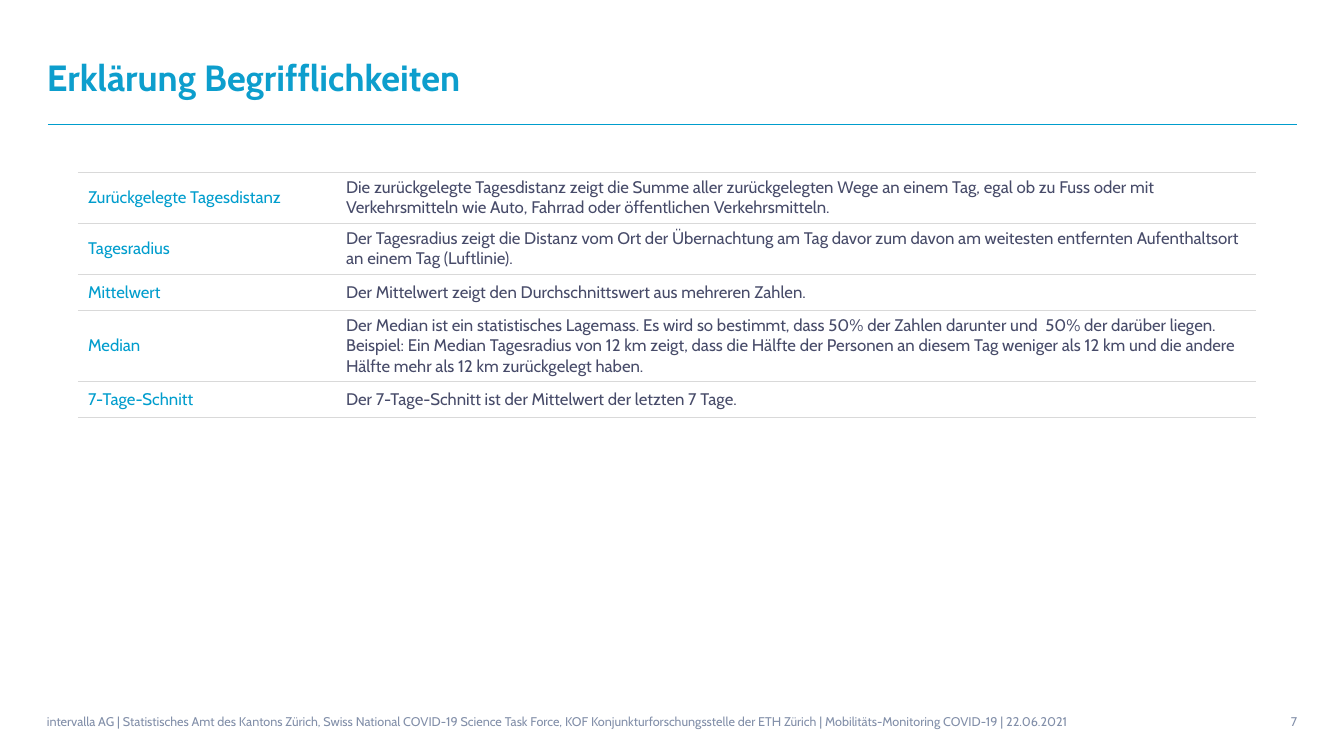
"""Builds a slide that explains the terms used in a mobility report."""
from lxml import etree
from pptx import Presentation
from pptx.dml.color import RGBColor
from pptx.enum.shapes import MSO_CONNECTOR
from pptx.enum.text import MSO_ANCHOR, PP_ALIGN
from pptx.oxml.ns import qn
from pptx.util import Pt

STRAIGHT = MSO_CONNECTOR.STRAIGHT
MIDDLE = MSO_ANCHOR.MIDDLE
LEFT, RIGHT = PP_ALIGN.LEFT, PP_ALIGN.RIGHT
EMU_PER_PX = 914400 / 100.8
FONT = "Cabin"
COLORS = {
    "title": "0D9ECD",
    "accent": "009DCD",
    "body": "474B69",
    "footer": "828FA9",
    "border": "D9D9D9",
}
TERMS = [
    (51, "Zurückgelegte Tagesdistanz",
     "Die zurückgelegte Tagesdistanz zeigt die Summe aller zurückgelegten Wege an einem Tag, "
     "egal ob zu Fuss oder mit Verkehrsmitteln wie Auto, Fahrrad oder öffentlichen "
     "Verkehrsmitteln."),
    (51, "Tagesradius",
     "Der Tagesradius zeigt die Distanz vom Ort der Übernachtung am Tag davor zum davon am "
     "weitesten entfernten Aufenthaltsort an einem Tag (Luftlinie)."),
    (36, "Mittelwert",
     "Der Mittelwert zeigt den Durchschnittswert aus mehreren Zahlen."),
    (71, "Median",
     "Der Median ist ein statistisches Lagemass. Es wird so bestimmt, dass 50% der Zahlen "
     "darunter und  50% der darüber liegen. Beispiel: Ein Median Tagesradius von 12 km zeigt, "
     "dass die Hälfte der Personen an diesem Tag weniger als 12 km und die andere Hälfte mehr "
     "als 12 km zurückgelegt haben."),
    (36, "7-Tage-Schnitt",
     "Der 7-Tage-Schnitt ist der Mittelwert der letzten 7 Tage."),
]
FOOTER = (
    "intervalla AG | Statistisches Amt des Kantons Zürich, Swiss National COVID-19 Science "
    "Task Force, KOF Konjunkturforschungsstelle der ETH Zürich | Mobilitäts-Monitoring "
    "COVID-19 | 22.06.2021"
)


def px(length):
    return round(length * EMU_PER_PX)


class SlideBuilder:
    def __init__(self, presentation):
        self.slide = presentation.slides.add_slide(presentation.slide_layouts[6])

    def set_text(self, text_frame, text, size, color, bold=False, align=LEFT):
        text_frame.word_wrap = True
        paragraph = text_frame.paragraphs[0]
        paragraph.text = text
        paragraph.alignment = align
        font = paragraph.font
        font.name, font.size, font.bold = FONT, Pt(size), bold
        font.color.rgb = RGBColor.from_string(COLORS[color])

    def text(self, left, top, width, height, text, size, color, bold=False, align=LEFT):
        box = self.slide.shapes.add_textbox(px(left), px(top), px(width), px(height))
        box.text_frame.vertical_anchor = MIDDLE
        self.set_text(box.text_frame, text, size, color, bold, align)

    def rule(self, left, right, y, color, weight):
        line = self.slide.shapes.add_connector(STRAIGHT, px(left), px(y), px(right), px(y))
        line.line.color.rgb = RGBColor.from_string(COLORS[color])
        line.line.width = Pt(weight)
        etree.SubElement(line._element.spPr, qn("a:effectLst"))

    def borders(self, cell, color, weight):
        properties = cell._tc.get_or_add_tcPr()
        for index, side in enumerate(("lnL", "lnR", "lnT", "lnB")):
            border = etree.Element(qn(f"a:{side}"), w=str(Pt(weight)))
            if side in ("lnT", "lnB"):
                fill = etree.SubElement(border, qn("a:solidFill"))
                etree.SubElement(fill, qn("a:srgbClr"), val=COLORS[color])
            else:
                etree.SubElement(border, qn("a:noFill"))
            properties.insert(index, border)

    def table(self, left, top, widths, terms):
        height = sum(row_height for row_height, *_ in terms)
        frame = self.slide.shapes.add_table(
            len(terms), len(widths), px(left), px(top), px(sum(widths)), px(height))
        table = frame.table
        table.first_row = table.horz_banding = False
        for column, width in zip(table.columns, widths):
            column.width = px(width)
        for row, (row_height, *texts) in zip(table.rows, terms):
            row.height = px(row_height)
            for cell, text, color in zip(row.cells, texts, ("accent", "body")):
                cell.vertical_anchor = MIDDLE
                cell.fill.background()
                self.set_text(cell.text_frame, text, 12, color)
                self.borders(cell, "border", 0.75)


def main():
    presentation = Presentation()
    presentation.slide_width, presentation.slide_height = px(1344), px(756)
    builder = SlideBuilder(presentation)
    builder.rule(48, 1297, 124, "accent", 0.25)
    builder.text(37, 29, 1058, 95, "Erklärung Begrifflichkeiten", 26, "title", bold=True)
    builder.text(37, 696, 1127, 52, FOOTER, 9, "footer")
    builder.text(1096, 696, 211, 52, "7", 9, "footer", align=RIGHT)
    builder.table(78, 172, (258, 920), TERMS)
    presentation.save("out.pptx")


if __name__ == "__main__":
    main()
